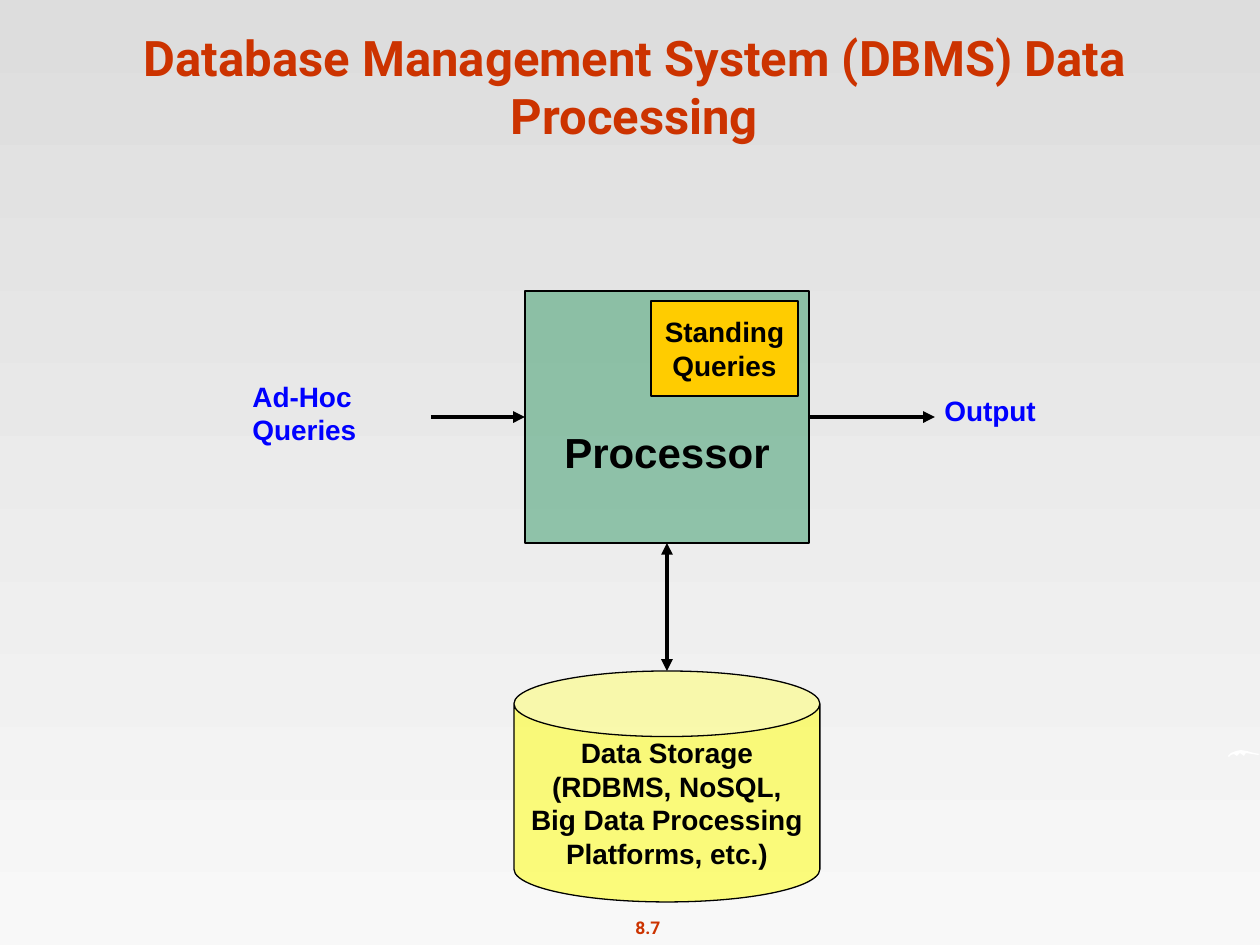
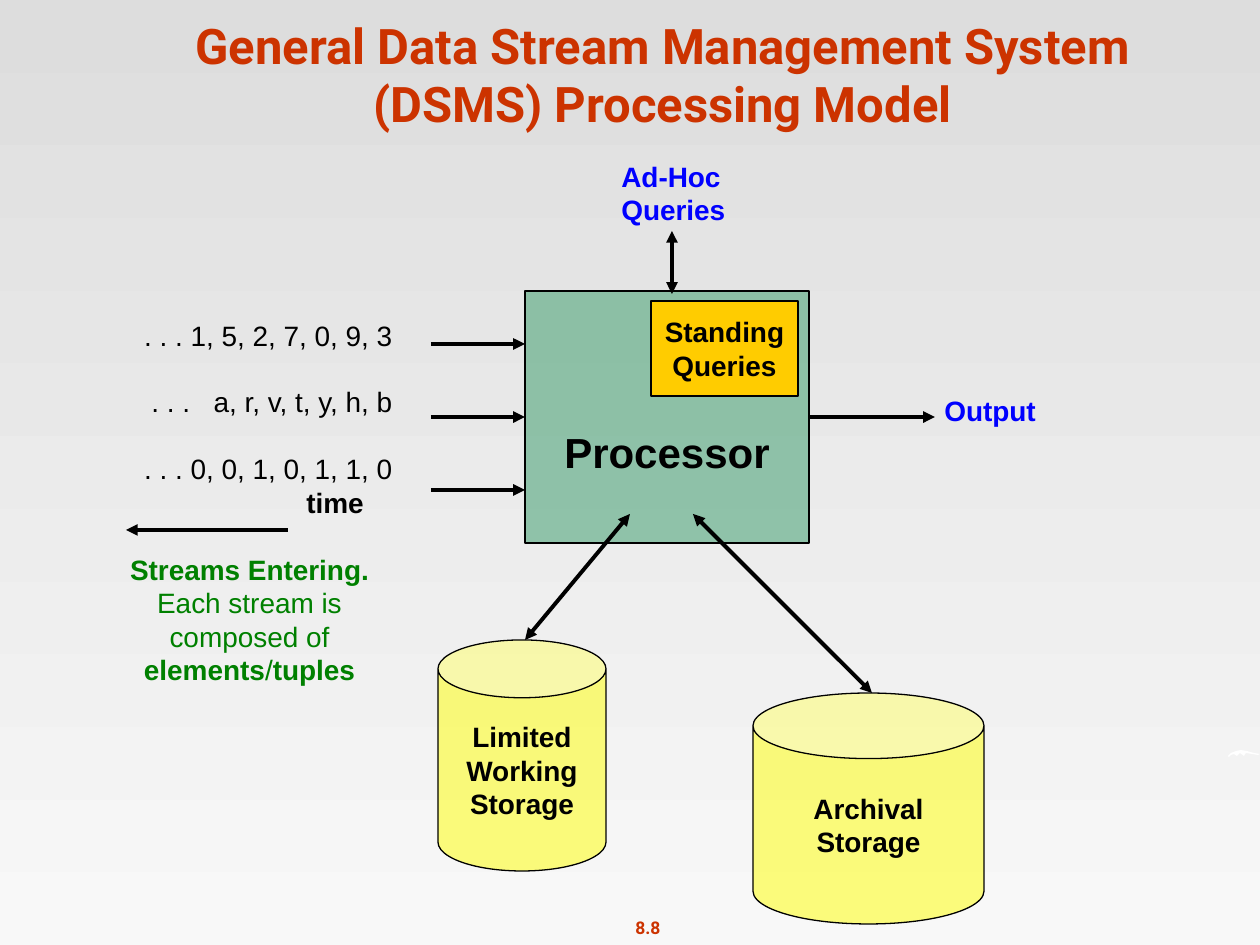
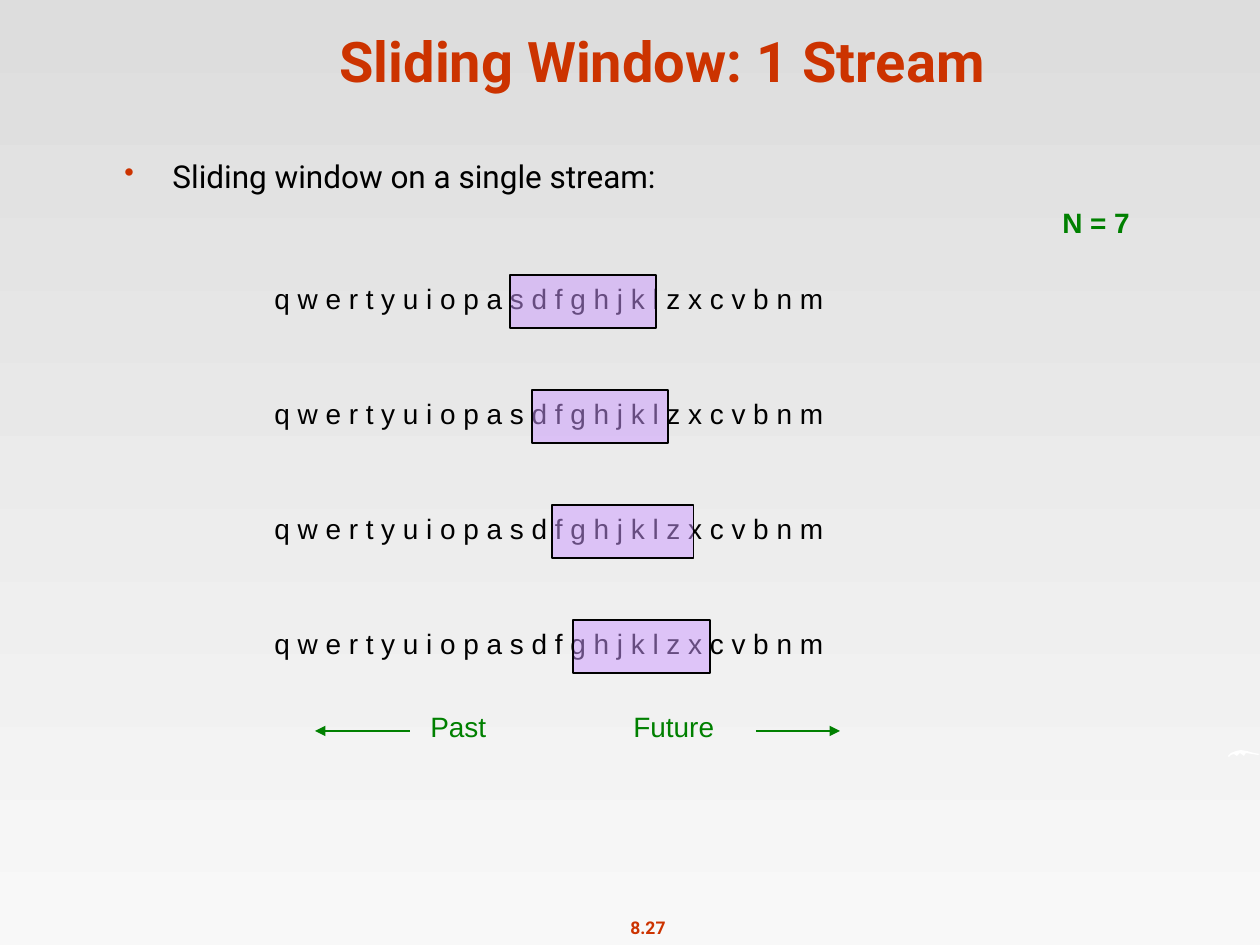
from pptx import Presentation
from pptx import util as u
from pptx.dml.color import RGBColor
from pptx.enum import shapes, text
from pptx.oxml import ns
from lxml import etree

PIXEL = u.Inches(1) // 126
RED, BLACK, BLUE, GREEN = "CC3300", "000000", "0000FF", "008000"
TEAL, GOLD, YELLOW, LILAC, WHITE = "339966", "FFCC00", "FFFF00", "CC99FF", "FFFFFF"
LEFT, CENTER, RIGHT = text.PP_ALIGN.LEFT, text.PP_ALIGN.CENTER, text.PP_ALIGN.RIGHT
RECT, CAN = shapes.MSO_SHAPE.RECTANGLE, shapes.MSO_SHAPE.CAN
SWOOSH = [(1, 7), (0, 6), (3, 3), (8, 1), (13, 0), (19, 1), (26, 3), (32, 4),
          (30, 5), (24, 4), (18, 3), (16, 6), (12, 3), (9, 6), (6, 4), (3, 5)]


def px(*lengths):
    return [round(length * PIXEL) for length in lengths]


def rgb(color):
    return RGBColor.from_string(color)


def child(parent, tag, **attributes):
    node = etree.SubElement(parent, ns.qn(tag))
    for name, value in attributes.items():
        node.set(name, str(value))
    return node


def style_span(span, size, color, bold, face):
    span.font.size = u.Pt(size)
    span.font.name = face
    span.font.bold = bold
    span.font.color.rgb = rgb(color)


def write(shape, words, size=16, color=BLACK, bold=False, align=LEFT, face="Arial"):
    shape.text_frame.text = words
    for para in shape.text_frame.paragraphs:
        para.alignment = align
        for span in para.runs:
            style_span(span, size, color, bold, face)


def add_label(canvas, box, words="", anchor=text.MSO_ANCHOR.TOP, **style):
    label = canvas.add_textbox(*px(*box))
    label.text_frame.word_wrap = True
    label.text_frame.vertical_anchor = anchor
    write(label, words, **style)
    return label


def add_block(canvas, kind, box, fill, words="", opacity=100, size=16):
    block = canvas.add_shape(kind, *px(*box))
    block.shadow.inherit = False
    block.fill.solid()
    block.fill.fore_color.rgb = rgb(fill)
    if opacity < 100:
        solid = block._element.spPr.find(ns.qn("a:solidFill"))
        child(solid[0], "a:alpha", val=opacity * 1000)
    block.line.color.rgb = rgb(BLACK)
    block.line.width = u.Pt(0.75)
    block.text_frame.word_wrap = False
    block.text_frame.vertical_anchor = text.MSO_ANCHOR.MIDDLE
    if words:
        write(block, words, size=size, bold=True, align=CENTER)
    return block


def add_arrow(canvas, start, end, both=False, color=BLACK, width=2.25):
    arrow = canvas.add_connector(shapes.MSO_CONNECTOR.STRAIGHT, *px(*start, *end))
    arrow.line.color.rgb = rgb(color)
    arrow.line.width = u.Pt(width)
    line = arrow.line._get_or_add_ln()
    if both:
        child(line, "a:headEnd", type="triangle")
    child(line, "a:tailEnd", type="triangle")
    child(arrow._element.spPr, "a:effectLst")


def add_page(deck, number, title, title_box, title_size=28):
    page = deck.slides.add_slide(deck.slide_layouts[6])
    fill = page.background.fill
    fill.gradient()
    fill.gradient_angle = 270
    for stop, (position, color) in zip(fill.gradient_stops, [(0, "DDDDDD"), (1, "F8F8F8")]):
        stop.position = position
        stop.color.rgb = rgb(color)
    canvas = page.shapes
    add_label(canvas, (617, 911, 62, 34), number, size=10, color=RED, bold=True,
              align=CENTER, face="Roboto")
    outline = [(1228 + x, 750 + y) for x, y in SWOOSH]
    builder = canvas.build_freeform(*outline[0], scale=PIXEL)
    builder.add_line_segments(outline[1:], close=True)
    swoosh = builder.convert_to_shape()
    swoosh.shadow.inherit = False
    swoosh.fill.solid()
    swoosh.fill.fore_color.rgb = rgb(WHITE)
    swoosh.line.fill.background()
    add_label(canvas, title_box, title, text.MSO_ANCHOR.BOTTOM, size=title_size,
              color=RED, bold=True, align=CENTER, face="Roboto")
    return canvas


def add_processor(canvas, box):
    left, top, width, height = box
    processor = add_block(canvas, RECT, box, TEAL, "Processor", 50, 24)
    processor.text_frame.margin_top = px(75)[0]
    add_block(canvas, RECT, (left + 126, top + 10, 147, 95), GOLD, "Standing\nQueries")
    right, middle = left + width, top + height // 2
    add_arrow(canvas, (right, middle), (right + 126, middle))
    add_label(canvas, (right + 123, middle - 30, 130, 50), "Output", color=BLUE, bold=True)


def add_input_arrow(canvas, processor, y):
    add_arrow(canvas, (processor[0] - 94, y), (processor[0], y))


def add_queries(canvas, left, top):
    add_label(canvas, (left, top, 144, 90), "Ad-Hoc\nQueries", color=BLUE, bold=True)


def add_storage(canvas, box, words, lid):
    storage = add_block(canvas, CAN, box, YELLOW, words, 50)
    storage.adjustments[0] = lid


def add_streams(canvas, box):
    label = add_label(canvas, box)
    frame = label.text_frame
    lines = [
        (RIGHT, 0, BLACK, [(". . . 1, 5, 2, 7, 0, 9, 3", False)]),
        (RIGHT, 19, BLACK, [(". . .", False), (" ", False), ("a, r, v, t, y, h, b", False)]),
        (RIGHT, 19, BLACK, [(". . . 0, 0, 1, 0, 1, 1, 0", False)]),
        (LEFT, 0, BLACK, [("time", True)]),
        (CENTER, 19, GREEN, [("Streams Entering.", True)]),
        (CENTER, 0, GREEN, [("Each stream is", False)]),
        (CENTER, 0, GREEN, [("composed of", False)]),
        (CENTER, 0, GREEN, [("elements", True), ("/", False), ("tuples", True)]),
    ]
    for index, (align, gap, color, spans) in enumerate(lines):
        para = frame.add_paragraph() if index else frame.paragraphs[0]
        para.alignment = align
        para.space_before = u.Pt(gap)
        for words, bold in spans:
            span = para.add_run()
            span.text = words
            style_span(span, 16, color, bold, "Arial")
            if words == " ":
                span.font._element.set("spc", "890")
        if align == LEFT:
            para._p.get_or_add_pPr().set("marL", str(px(200)[0]))
    left, top = box[:2]
    add_arrow(canvas, (left + 194, top + 218), (left + 32, top + 218))


def add_bullet(canvas, box, words):
    label = add_label(canvas, box, words, size=18, face="Roboto")
    props = label.text_frame.paragraphs[0]._p.get_or_add_pPr()
    indent = px(48)[0]
    props.set("marL", str(indent))
    props.set("indent", str(-indent))
    child(child(props, "a:buClr"), "a:srgbClr", val=RED)
    child(props, "a:buSzPct", val=90000)
    child(props, "a:buChar", char="•")


def add_windows(canvas, box, windows):
    left, top, width, pitch = box
    letters = " ".join("qwertyuiopasdfghjklzxcvbnm")
    for row, (start, span) in enumerate(windows):
        y = top + row * pitch
        group = canvas.add_group_shape().shapes
        add_label(group, (left, y, width, 50), letters)
        add_block(group, RECT, (left + start, y, span, 53), LILAC, opacity=50)


def add_time_axis(canvas, box):
    left, top, width, height = box
    label = add_label(canvas, (left + 103, top, 349, height), "Past\tFuture", color=GREEN)
    props = label.text_frame.paragraphs[0]._p.get_or_add_pPr()
    child(child(props, "a:tabLst"), "a:tab", pos=px(203)[0], algn="l")
    y = top + 28
    add_arrow(canvas, (left + 95, y), (left, y), color=GREEN, width=0.75)
    add_arrow(canvas, (left + width - 84, y), (left + width, y), color=GREEN, width=0.75)


def build_dbms(deck):
    canvas = add_page(deck, "8.7", "Database Management System (DBMS) Data Processing",
                      (9, 67, 1251, 84))
    processor = (525, 291, 284, 252)
    add_processor(canvas, processor)
    add_input_arrow(canvas, processor, 417)
    add_queries(canvas, 240, 373)
    add_storage(canvas, (514, 671, 306, 231),
                "Data Storage\n(RDBMS, NoSQL,\nBig Data Processing\nPlatforms, etc.)", 0.284)
    add_arrow(canvas, (667, 543), (667, 671), both=True)


def build_dsms(deck):
    canvas = add_page(deck, "8.8",
                      "General Data Stream Management System (DSMS) Processing Model",
                      (106, 55, 1113, 84))
    processor = (525, 291, 284, 252)
    add_processor(canvas, processor)
    for row in range(3):
        add_input_arrow(canvas, processor, 344 + row * 73)
    add_streams(canvas, (94, 312, 311, 386))
    add_queries(canvas, 609, 153)
    add_arrow(canvas, (672, 231), (672, 294), both=True)
    add_storage(canvas, (438, 640, 168, 231), "Limited\nWorking\nStorage", 0.344)
    add_arrow(canvas, (630, 514), (525, 640), both=True)
    add_storage(canvas, (753, 693, 231, 231), "Archival\nStorage", 0.284)
    add_arrow(canvas, (693, 514), (872, 693), both=True)


def build_sliding_window(deck):
    canvas = add_page(deck, "8.27", "Sliding Window: 1 Stream", (106, 16, 1113, 84), 32)
    add_bullet(canvas, (112, 151, 1056, 675), "Sliding window on a single stream:")
    add_windows(canvas, (262, 275, 673, 115), [(248, 146), (270, 136), (290, 142), (311, 137)])
    add_time_axis(canvas, (315, 703, 525, 50))
    add_label(canvas, (1050, 199, 100, 47), "N = 7", color=GREEN, bold=True)


deck = Presentation()
deck.slide_width, deck.slide_height = px(1260, 945)
build_dbms(deck)
build_dsms(deck)
build_sliding_window(deck)
deck.save("out.pptx")
